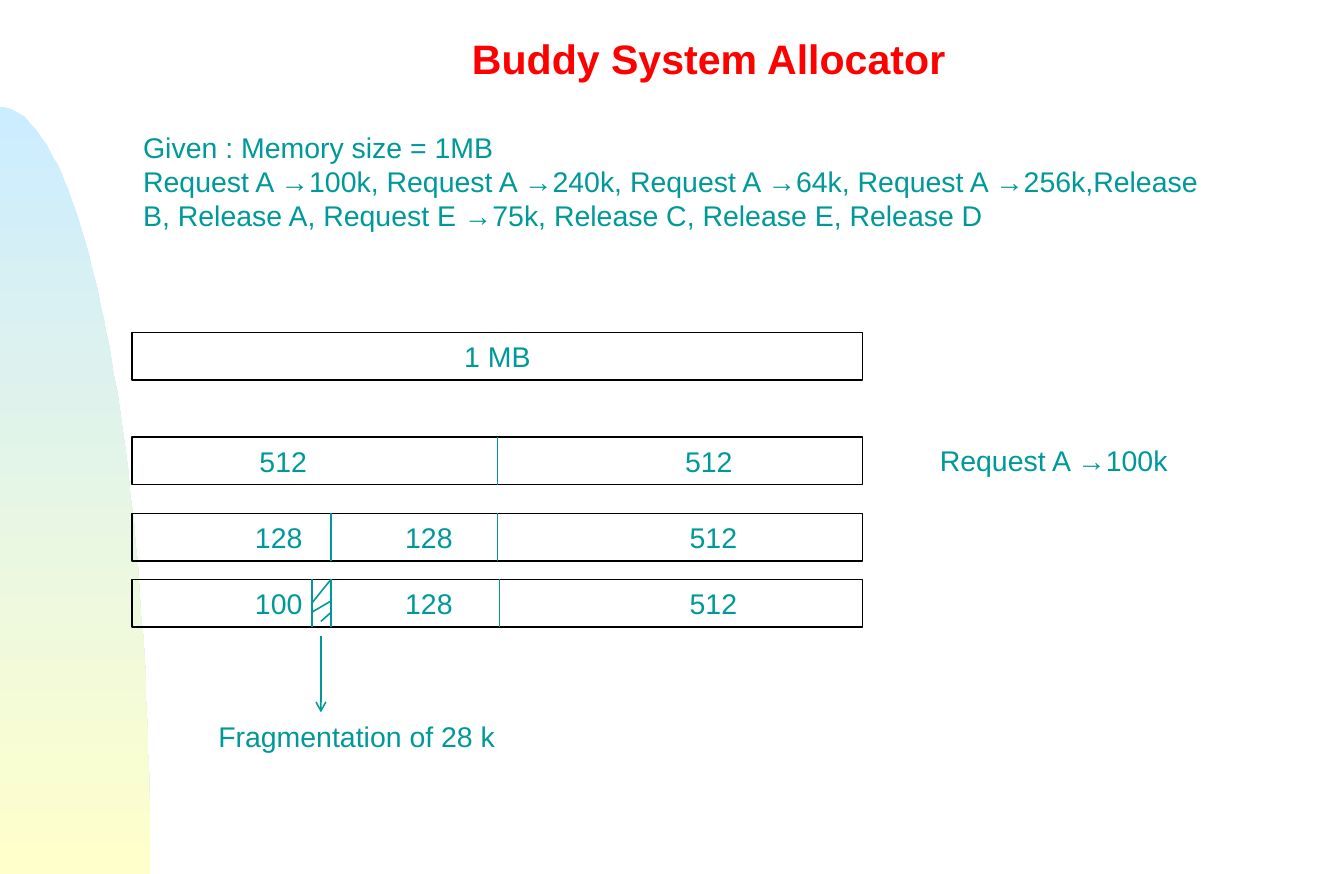
from dataclasses import dataclass
from math import cos, pi, sin

from lxml.etree import SubElement
from pptx import Presentation
from pptx.dml.color import RGBColor
from pptx.enum.shapes import MSO_CONNECTOR, MSO_SHAPE
from pptx.enum.text import MSO_ANCHOR, PP_ALIGN
from pptx.oxml.ns import qn
from pptx.util import Pt

PX = 9144


@dataclass(frozen=True)
class Theme:
    font: str = "Arial"
    heading: RGBColor = RGBColor(255, 0, 0)
    ink: RGBColor = RGBColor(0, 153, 153)
    outline: RGBColor = RGBColor(1, 0, 0)
    sky: RGBColor = RGBColor(204, 236, 255)
    sand: RGBColor = RGBColor(255, 255, 204)
    heading_size: int = 26
    body_size: int = 18
    outline_width: float = 0.75
    stroke_width: int = 1


class Sketch:
    def __init__(self, slide, theme):
        self.slide = slide
        self.shapes = slide.shapes
        self.theme = theme

    def style(self, paragraph, size, color, bold=False):
        font = paragraph.font
        font.name, font.size, font.bold = self.theme.font, Pt(size), bold
        font.color.rgb = color

    def title(self, wording, left, top, width, height):
        heading = self.shapes.title
        heading.left, heading.top = left * PX, top * PX
        heading.width, heading.height = width * PX, height * PX
        heading.text_frame.text = wording
        heading.text_frame.vertical_anchor = MSO_ANCHOR.MIDDLE
        line = heading.text_frame.paragraphs[0]
        line.alignment = PP_ALIGN.CENTER
        line.line_spacing = 0.8
        self.style(line, self.theme.heading_size, self.theme.heading, bold=True)

    def text(self, wording, left, top, width, height, wrap=False):
        note = self.shapes.add_textbox(left * PX, top * PX, width * PX, height * PX)
        note.text_frame.word_wrap = wrap
        note.text_frame.text = wording
        for line in note.text_frame.paragraphs:
            self.style(line, self.theme.body_size, self.theme.ink)

    def bar(self, wording, left, top, width, height, stops=()):
        block = self.shapes.add_shape(
            MSO_SHAPE.RECTANGLE, left * PX, top * PX, width * PX, height * PX)
        block.shadow.inherit = False
        block.fill.background()
        block.line.color.rgb = self.theme.outline
        block.line.width = Pt(self.theme.outline_width)
        block.text_frame.text = wording
        block.text_frame.vertical_anchor = MSO_ANCHOR.MIDDLE
        line = block.text_frame.paragraphs[0]
        line.alignment = PP_ALIGN.LEFT if stops else PP_ALIGN.CENTER
        self.style(line, self.theme.body_size, self.theme.ink)
        if stops:
            properties = line._p.get_or_add_pPr()
            tabs = properties.makeelement(qn("a:tabLst"), {})
            properties.insert(0, tabs)
            for stop in stops:
                SubElement(tabs, qn("a:tab"), pos=str(stop * PX), algn="ctr")
        return block

    def line(self, x1, y1, x2, y2, arrow=False):
        stroke = self.shapes.add_connector(
            MSO_CONNECTOR.STRAIGHT, x1 * PX, y1 * PX, x2 * PX, y2 * PX)
        stroke.line.color.rgb = self.theme.ink
        stroke.line.width = Pt(self.theme.stroke_width)
        if arrow:
            SubElement(stroke.line._get_or_add_ln(), qn("a:tailEnd"), type="arrow")
        SubElement(stroke._element.spPr, qn("a:effectLst"))
        return stroke

    def halve(self, block):
        split = self.line(0, 0, 0, 0)
        split.begin_connect(block, 0)
        split.end_connect(block, 2)

    def hill(self, top, width, bottom, steps=60):
        angles = [pi / 2 * step / steps for step in range(steps + 1)]
        curve = [(round(width * sin(a), 2), round(bottom - (bottom - top) * cos(a), 2))
                 for a in angles]
        builder = self.shapes.build_freeform(0, top, scale=PX)
        builder.add_line_segments(curve[1:] + [(0, bottom)], close=True)
        slope = builder.convert_to_shape()
        slope.shadow.inherit = False
        slope.line.fill.background()
        slope.fill.gradient()
        slope.fill.gradient_angle = 270
        for stop, color in zip(slope.fill.gradient_stops,
                               (self.theme.sky, self.theme.sand)):
            stop.color.rgb = color


def main():
    deck = Presentation()
    deck.slide_width, deck.slide_height = 1181 * PX, 768 * PX
    sketch = Sketch(deck.slides.add_slide(deck.slide_layouts[5]), Theme())

    sketch.hill(94, 132, 768)
    sketch.title("Buddy System Allocator", 124, 23, 998, 65)
    sketch.text(
        "Given : Memory size = 1MB\n"
        "Request A →100k, Request A →240k, Request A →64k, Request A →256k,"
        "Release B, Release A, Request E →75k, Release C, Release E, Release D",
        116, 109, 967, 101, wrap=True)

    left, width, height = 116, 642, 42
    halves, quarters = (123, 497), (119, 251, 501)
    sketch.bar("1 MB", left, 292, width, height)
    for wording, top, stops in (("\t512\t512", 384, halves),
                                ("\t128\t128\t512", 451, quarters)):
        sketch.halve(sketch.bar(wording, left, top, width, height, stops))

    allocated = 509
    sketch.bar("\t100\t128\t512", left, allocated, width, height, quarters)
    for x, top in ((291, 451), (291, allocated), (439, allocated), (274, allocated)):
        sketch.line(x, top, x, top + height)
    for y1, x2, y2 in ((509, 274, 530), (528, 274, 538), (538, 282, 546)):
        sketch.line(291, y1, x2, y2)

    sketch.line(282, 559, 282, 626, arrow=True)
    sketch.text("Request A →100k", 816, 384, 222, 40)
    sketch.text("Fragmentation of 28 k", 182, 627, 266, 40)
    deck.save("out.pptx")


if __name__ == "__main__":
    main()
